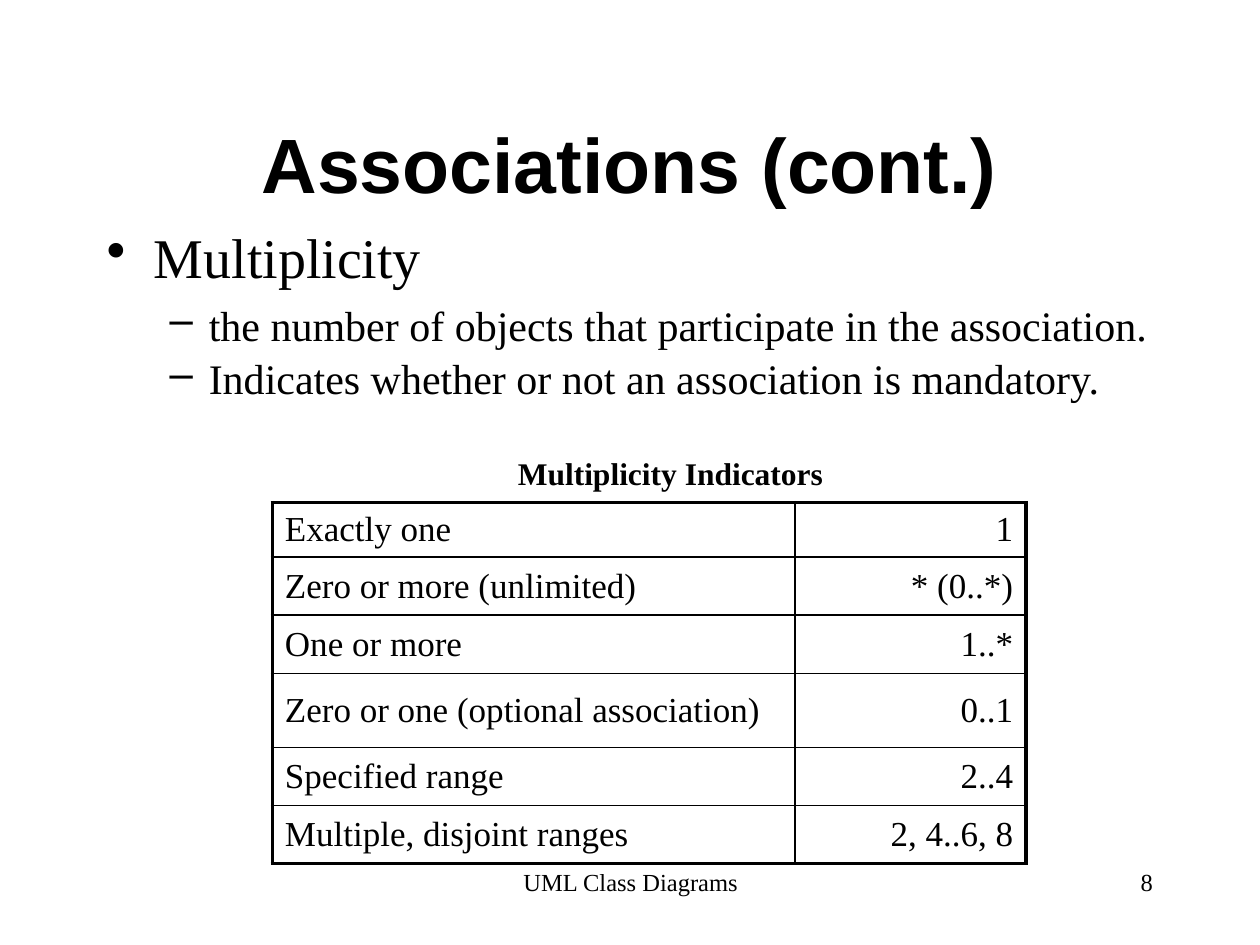
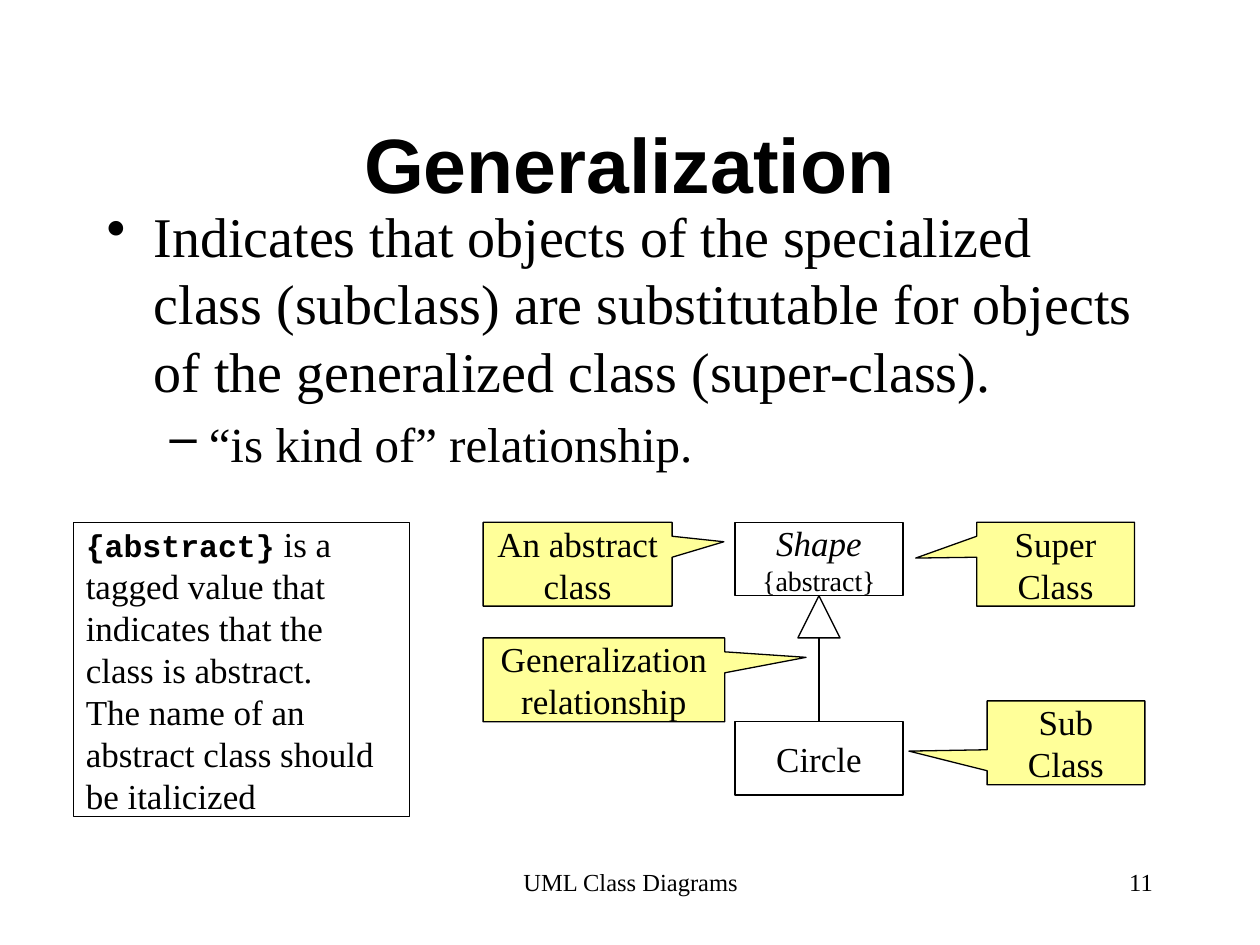
from dataclasses import dataclass

from lxml import etree
from pptx import Presentation
from pptx.dml.color import RGBColor
from pptx.enum.shapes import MSO_CONNECTOR, MSO_SHAPE
from pptx.enum.text import MSO_ANCHOR, PP_ALIGN
from pptx.oxml.ns import qn
from pptx.util import Cm, Pt

# Shared look
BLACK = RGBColor(0x00, 0x00, 0x00)
CALLOUT_YELLOW = RGBColor(0xFF, 0xFF, 0x99)
SERIF, SANS, MONO = "Times New Roman", "Arial", "Courier New"
LEFT, CENTER, RIGHT = PP_ALIGN.LEFT, PP_ALIGN.CENTER, PP_ALIGN.RIGHT
TOP, MIDDLE = MSO_ANCHOR.TOP, MSO_ANCHOR.MIDDLE
RECTANGLE = MSO_SHAPE.RECTANGLE
TRIANGLE = MSO_SHAPE.ISOSCELES_TRIANGLE
CALLOUT = MSO_SHAPE.RECTANGULAR_CALLOUT
STRAIGHT = MSO_CONNECTOR.STRAIGHT
HAIRLINE, THIN, THICK = Pt(0.75), Pt(1), Pt(2.25)
BLANK_LAYOUT = 6
SPACE_BEFORE = 0.2  # share of the text size


@dataclass(frozen=True)
class Box:
    """A place on the slide, in centimetres."""
    left: float
    top: float
    width: float
    height: float

    def lengths(self):
        return Cm(self.left), Cm(self.top), Cm(self.width), Cm(self.height)


@dataclass(frozen=True)
class Words:
    text: str
    size: float = 20
    font: str = SERIF
    bold: bool = False
    italic: bool = False


@dataclass(frozen=True)
class Point:
    """One bulleted line of the body."""
    text: str
    size: float
    level: int = 0
    spacing: float = 1.0


@dataclass(frozen=True)
class Callout:
    text: str
    box: Box
    tip: tuple[float, float]


# Level: bullet, left margin, hanging indent
BULLETS = (("•", 0.95, -0.95), ("–", 2.06, -0.79))
TITLE_BOX = Box(1.9, 1.7, 21.59, 3.18)
FOOTER_BOX = Box(8.69, 17.35, 8.05, 1.27)
NUMBER_BOX = Box(18.21, 17.35, 5.28, 1.27)


def write(paragraph, *words: Words, align=LEFT) -> None:
    paragraph.alignment = align
    for part in words:
        for index, line in enumerate(part.text.split("\n")):
            if index:
                paragraph.add_line_break()
            if not line:
                continue
            run = paragraph.add_run()
            run.text = line
            run.font.size = Pt(part.size)
            run.font.name = part.font
            run.font.bold = part.bold
            run.font.italic = part.italic
            run.font.color.rgb = BLACK


def add_text(slide, box: Box, *words: Words, align=LEFT, anchor=TOP,
             wrap: bool = True):
    frame = slide.shapes.add_textbox(*box.lengths()).text_frame
    frame.word_wrap = wrap
    frame.vertical_anchor = anchor
    write(frame.paragraphs[0], *words, align=align)
    return frame


def add_outlined(slide, kind, box: Box, *words: Words, align=CENTER,
                 wrap: bool = True, fill: RGBColor | None = None):
    shape = slide.shapes.add_shape(kind, *box.lengths())
    shape.shadow.inherit = False
    if fill is None:
        shape.fill.background()
    else:
        shape.fill.solid()
        shape.fill.fore_color.rgb = fill
    shape.line.color.rgb = BLACK
    shape.line.width = HAIRLINE
    shape.text_frame.word_wrap = wrap
    shape.text_frame.vertical_anchor = MIDDLE
    write(shape.text_frame.paragraphs[0], *words, align=align)
    return shape


def add_callout(slide, callout: Callout) -> None:
    shape = add_outlined(slide, CALLOUT, callout.box, Words(callout.text),
                         fill=CALLOUT_YELLOW)
    shape.adjustments[0], shape.adjustments[1] = callout.tip


def add_line(slide, x: float, top: float, bottom: float) -> None:
    line = slide.shapes.add_connector(STRAIGHT, Cm(x), Cm(top), Cm(x), Cm(bottom))
    line.line.color.rgb = BLACK
    line.line.width = HAIRLINE
    etree.SubElement(line._element.spPr, qn("a:effectLst"))


def add_body(slide, box: Box, points: list[Point]) -> None:
    frame = add_text(slide, box)
    for index, point in enumerate(points):
        paragraph = frame.add_paragraph() if index else frame.paragraphs[0]
        write(paragraph, Words(point.text, point.size))
        paragraph.level = point.level
        paragraph.line_spacing = point.spacing
        paragraph.space_before = Pt(SPACE_BEFORE * point.size)
        bullet, margin, hanging = BULLETS[point.level]
        properties = paragraph._p.get_or_add_pPr()
        properties.set("marL", str(Cm(margin)))
        properties.set("indent", str(Cm(hanging)))
        etree.SubElement(properties, qn("a:buChar"), char=bullet)


def add_borders(cell, widths: dict[str, int]) -> None:
    properties = cell._tc.get_or_add_tcPr()
    for index, (side, width) in enumerate(widths.items()):
        border = etree.Element(qn(f"a:ln{side}"), w=str(width))
        paint = etree.SubElement(border, qn("a:solidFill"))
        etree.SubElement(paint, qn("a:srgbClr"), val=str(BLACK))
        properties.insert(index, border)


def add_grid(slide, left: float, top: float, columns: list[float],
             heights: list[float], rows: list[tuple[str, str]]) -> None:
    box = Box(left, top, sum(columns), sum(heights))
    table = slide.shapes.add_table(len(rows), len(columns), *box.lengths()).table
    table.first_row = table.horz_banding = False
    for column, width in zip(table.columns, columns):
        column.width = Cm(width)
    last_row, last_column = len(rows) - 1, len(columns) - 1
    for r, texts in enumerate(rows):
        table.rows[r].height = Cm(heights[r])
        for c, text in enumerate(texts):
            cell = table.cell(r, c)
            cell.fill.background()
            cell.vertical_anchor = MIDDLE
            paragraph = cell.text_frame.paragraphs[0]
            write(paragraph, Words(text), align=RIGHT if c else LEFT)
            paragraph.space_before = Pt(SPACE_BEFORE * 20)
            add_borders(cell, {
                "L": THIN if c else THICK,
                "R": THICK if c == last_column else THIN,
                "T": THIN if r else THICK,
                "B": THICK if r == last_row else THIN,
            })


def add_slide(deck, title: str, number: int):
    slide = deck.slides.add_slide(deck.slide_layouts[BLANK_LAYOUT])
    add_text(slide, FOOTER_BOX, Words("UML Class Diagrams", 14), align=CENTER)
    add_text(slide, NUMBER_BOX, Words(str(number), 14), align=RIGHT)
    add_text(slide, TITLE_BOX, Words(title, 44, SANS, bold=True),
             align=CENTER, anchor=MIDDLE)
    return slide


deck = Presentation()
deck.slide_width, deck.slide_height = Cm(25.4), Cm(19.05)

# Associations: multiplicity and its indicators
associations = add_slide(deck, "Associations (cont.)", 8)
add_body(associations, Box(1.9, 4.52, 22.61, 4.62), [
    Point("Multiplicity", 32, spacing=0.9),
    Point("the number of objects that participate in the association.", 24, 1),
    Point("Indicates whether or not an association is mandatory.", 24, 1, 0.9),
])
add_grid(associations, 5.49, 10.13, [10.54, 4.65],
         [0.89, 1.17, 1.17, 1.5, 1.17, 1.17], [
             ("Exactly one", "1"),
             ("Zero or more (unlimited)", "* (0..*)"),
             ("One or more", "1..*"),
             ("Zero or one (optional association)", "0..1"),
             ("Specified range", "2..4"),
             ("Multiple, disjoint ranges", "2, 4..6, 8"),
         ])
caption = add_text(associations, Box(8.92, 9.02, 8, 1.02),
                   Words("Multiplicity Indicators", 18, bold=True), wrap=False)
caption.paragraphs[0]._p.get_or_add_pPr().set("marL", str(Cm(1.27)))

# Generalization: body
generalization = add_slide(deck, "Generalization", 11)
add_body(generalization, Box(1.9, 3.94, 21.59, 5.92), [
    Point("Indicates that objects of the specialized class (subclass) are "
          "substitutable for objects of the generalized class (super-class).", 32),
    Point("“is kind of” relationship.", 28, 1),
])

# Class diagram: everything hangs on one vertical axis
AXIS = 16.51
DIAGRAM_TOP, CIRCLE_TOP = 10.53, 14.55
CLASS_WIDTH, CLASS_HEIGHT, ARROW = 3.39, 1.48, 0.85
arrow_top = DIAGRAM_TOP + CLASS_HEIGHT
arrow_bottom = arrow_top + ARROW
class_left = AXIS - CLASS_WIDTH / 2
add_outlined(generalization, RECTANGLE,
             Box(class_left, DIAGRAM_TOP, CLASS_WIDTH, CLASS_HEIGHT),
             Words("Shape\n", italic=True), Words("{abstract}", 16), wrap=False)
add_outlined(generalization, TRIANGLE,
             Box(AXIS - ARROW / 2, arrow_top, ARROW, ARROW))
add_line(generalization, AXIS, arrow_bottom, CIRCLE_TOP)
add_outlined(generalization, RECTANGLE,
             Box(class_left, CIRCLE_TOP, CLASS_WIDTH, CLASS_HEIGHT),
             Words("Circle"), wrap=False)

# Callouts and note
for callout in (
    Callout("Super Class", Box(19.69, DIAGRAM_TOP, 3.18, 1.69), (-0.887, -0.073)),
    Callout("Sub Class", Box(19.9, 14.13, 3.18, 1.69), (-0.996, 0.099)),
    Callout("An abstract class", Box(9.74, DIAGRAM_TOP, 3.81, 1.69),
            (0.774, -0.268)),
    Callout("Generalization relationship", Box(9.74, arrow_bottom, 4.87, 1.69),
            (0.837, -0.268)),
):
    add_callout(generalization, callout)
add_outlined(generalization, RECTANGLE, Box(1.48, DIAGRAM_TOP, 6.77, 5.93),
             Words("{abstract}", 18, MONO, bold=True),
             Words(" is a tagged value that indicates that the class is abstract. \n"
                   "The name of an abstract class should be italicized"),
             align=LEFT)

deck.save("out.pptx")
